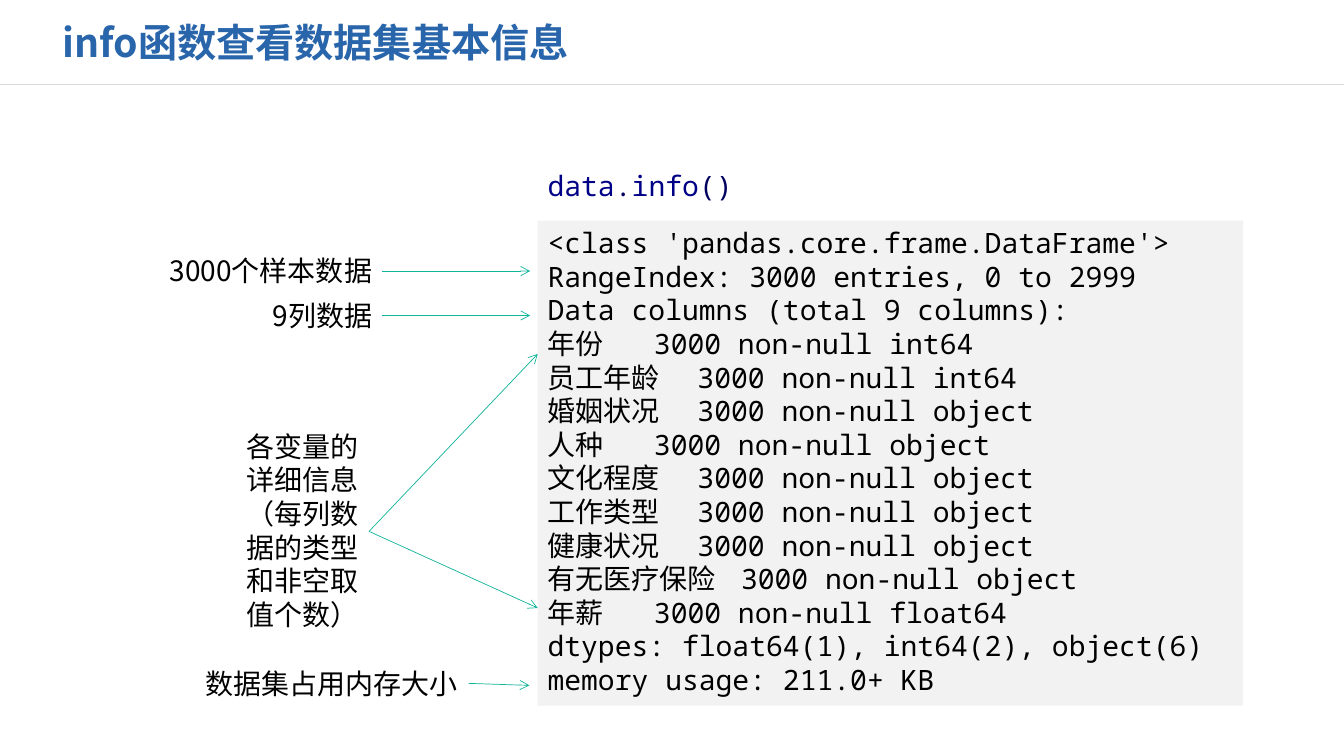
from dataclasses import dataclass

from lxml.etree import SubElement
from pptx import Presentation
from pptx.dml.color import RGBColor
from pptx.enum.shapes import MSO_CONNECTOR as Connector, MSO_SHAPE as Preset
from pptx.enum.text import MSO_ANCHOR as Anchor, MSO_AUTO_SIZE as AutoSize, PP_ALIGN as Align
from pptx.oxml.ns import qn
from pptx.util import Cm, Pt

COLOURS = {
    "title": "2965AB", "rule": "D9D9D9", "panel": "F2F2F2", "text": "000000",
    "name": "000087", "mark": "00005F", "arrow": "11B59A",
}
SANS, MONO = "Noto Sans CJK SC", "Noto Sans Mono"
FRAME_FORMAT = {"word_wrap": True, "auto_size": AutoSize.NONE, "vertical_anchor": Anchor.TOP}
NOTE_FORMAT = {"alignment": Align.RIGHT, "line_spacing": Pt(24)}
CODE_FORMAT = {"alignment": Align.LEFT, "line_spacing": Pt(24)}


@dataclass
class Note:
    """A right-aligned explanation, placed in centimetres."""
    left: float
    top: float
    width: float
    height: float
    lines: list[str]


@dataclass
class Line:
    """A straight line between two points in centimetres."""
    start: tuple[float, float]
    end: tuple[float, float]
    colour: str = "arrow"
    weight: float = 0.5
    arrow: bool = True


NOTES = [
    Note(2.21, 6.27, 7.42, 1.12, ["3000个样本数据"]),
    Note(2.21, 7.39, 7.42, 1.12, ["9列数据"]),
    Note(5.44, 10.69, 3.86, 5.38, ["各变量的详细信息", "（每列数据的类型和非空取值个数）"]),
    Note(2.21, 16.66, 9.58, 1.12, ["数据集占用内存大小"]),
]
LINES = [
    Line((0, 2.13), (33.87, 2.13), "rule", 1, False),
    Line((9.63, 6.83), (13.36, 6.83)),
    Line((9.63, 7.95), (13.36, 7.95)),
    Line((9.3, 13.39), (13.55, 8.92)),
    Line((9.3, 13.39), (13.55, 15.32)),
    Line((11.81, 17.22), (13.34, 17.27)),
]
COLUMN_TYPES = {
    "年份": "int64", "员工年龄": "int64", "婚姻状况": "object",
    "人种": "object", "文化程度": "object", "工作类型": "object",
    "健康状况": "object", "有无医疗保险": "object", "年薪": "float64",
}
OUTPUT = [
    "<class 'pandas.core.frame.DataFrame'>",
    "RangeIndex: 3000 entries, 0 to 2999",
    "Data columns (total 9 columns):",
    *(f"{name:<10}3000 non-null {kind}" for name, kind in COLUMN_TYPES.items()),
    "dtypes: float64(1), int64(2), object(6)",
    "memory usage: 211.0+ KB",
]
COMMAND = [("data", "name"), (".", "mark"), ("info", "name"), ("()", "mark")]


def apply(target, values: dict) -> None:
    """Set each named attribute on the target."""
    for name, value in values.items():
        setattr(target, name, value)


def add_span(para, text: str, font: str, colour: str, size: float = 20, bold: bool = False) -> None:
    """Add a run with Latin and East Asian fonts."""
    span = para.add_run()
    span.text = text
    apply(span.font, {"name": font, "size": Pt(size), "bold": bold})
    span.font.color.rgb = RGBColor.from_string(COLOURS[colour])
    SubElement(span.font._element, qn("a:ea"), typeface=SANS)


def write_lines(box, lines: list[str], font: str, values: dict) -> None:
    """Fill a box with one paragraph for each line."""
    frame = box.text_frame
    apply(frame, FRAME_FORMAT)
    for index, line in enumerate(lines):
        para = frame.add_paragraph() if index else frame.paragraphs[0]
        apply(para, values)
        add_span(para, line, font, "text")


def draw_title(page) -> None:
    """Move and format the title placeholder."""
    box = page.shapes.title
    apply(box, {"left": Cm(1.32), "top": Cm(0.33), "width": Cm(16.61), "height": Cm(1.47)})
    apply(box.text_frame, FRAME_FORMAT | {"vertical_anchor": Anchor.MIDDLE})
    para = box.text_frame.paragraphs[0]
    para.alignment = Align.LEFT
    add_span(para, "info函数查看数据集基本信息", SANS, "title", 28, True)


def draw_output(page) -> None:
    """Draw the grey panel with the console output."""
    panel = page.shapes.add_shape(Preset.RECTANGLE, Cm(13.55), Cm(5.56), Cm(17.78), Cm(12.22))
    panel.shadow.inherit = False
    panel.fill.solid()
    panel.fill.fore_color.rgb = RGBColor.from_string(COLOURS["panel"])
    panel.line.fill.background()
    write_lines(panel, OUTPUT, MONO, CODE_FORMAT)


def draw_command(page) -> None:
    """Write the coloured call above the panel."""
    box = page.shapes.add_textbox(Cm(13.55), Cm(4.11), Cm(5.21), Cm(1.12))
    apply(box.text_frame, FRAME_FORMAT | {"word_wrap": False})
    para = box.text_frame.paragraphs[0]
    apply(para, CODE_FORMAT)
    for text, colour in COMMAND:
        add_span(para, text, MONO, colour)


def draw_note(page, note: Note) -> None:
    """Write one explanation."""
    box = page.shapes.add_textbox(Cm(note.left), Cm(note.top), Cm(note.width), Cm(note.height))
    write_lines(box, note.lines, SANS, NOTE_FORMAT)


def draw_line(page, line: Line) -> None:
    """Draw a line, with an arrowhead at its end if wanted."""
    points = [Cm(value) for value in (*line.start, *line.end)]
    connector = page.shapes.add_connector(Connector.STRAIGHT, *points)
    connector.line.width = Pt(line.weight)
    connector.line.color.rgb = RGBColor.from_string(COLOURS[line.colour])
    properties = connector._element.spPr
    if line.arrow:
        SubElement(properties.find(qn("a:ln")), qn("a:tailEnd"), type="arrow")
    SubElement(properties, qn("a:effectLst"))


def main() -> None:
    """Build and save the deck."""
    deck = Presentation()
    apply(deck, {"slide_width": Cm(33.87), "slide_height": Cm(19.05)})
    page = deck.slides.add_slide(deck.slide_layouts[5])
    draw_title(page)
    draw_output(page)
    draw_command(page)
    for note in NOTES:
        draw_note(page, note)
    for line in LINES:
        draw_line(page, line)
    deck.save("out.pptx")


if __name__ == "__main__":
    main()
